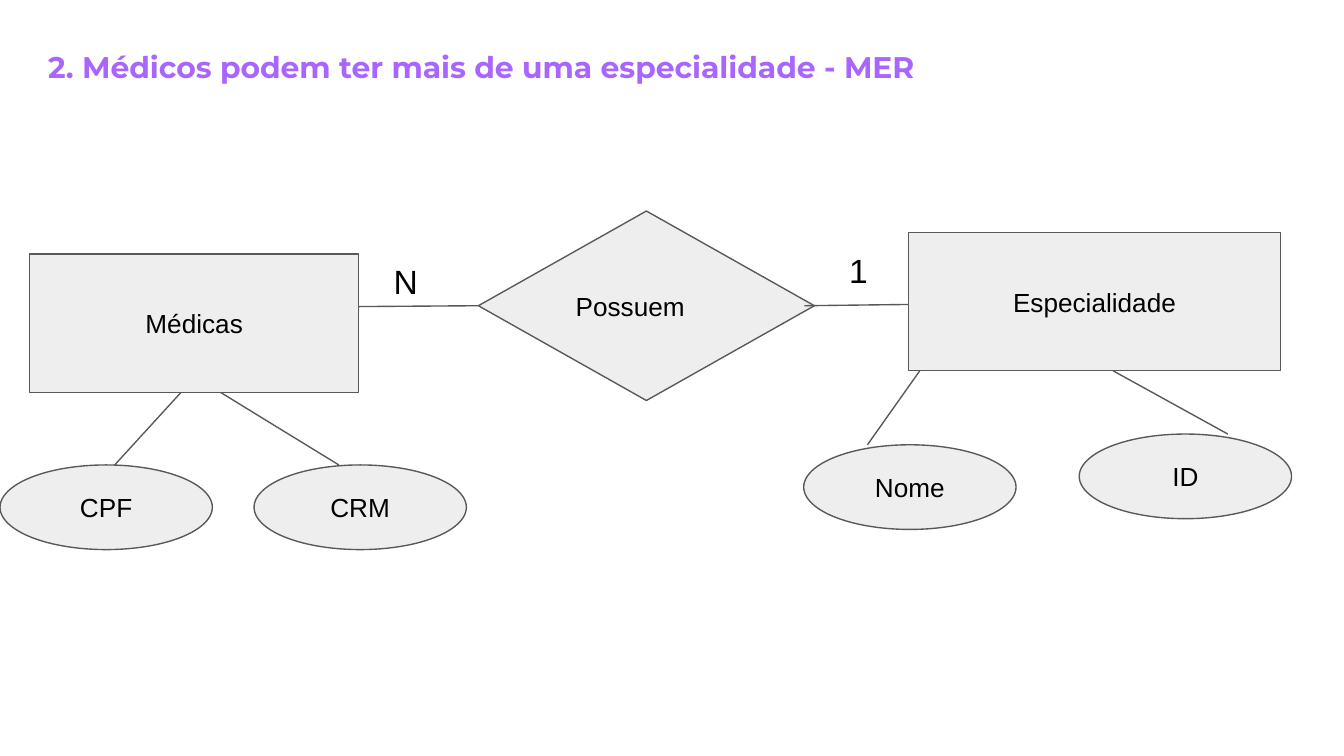
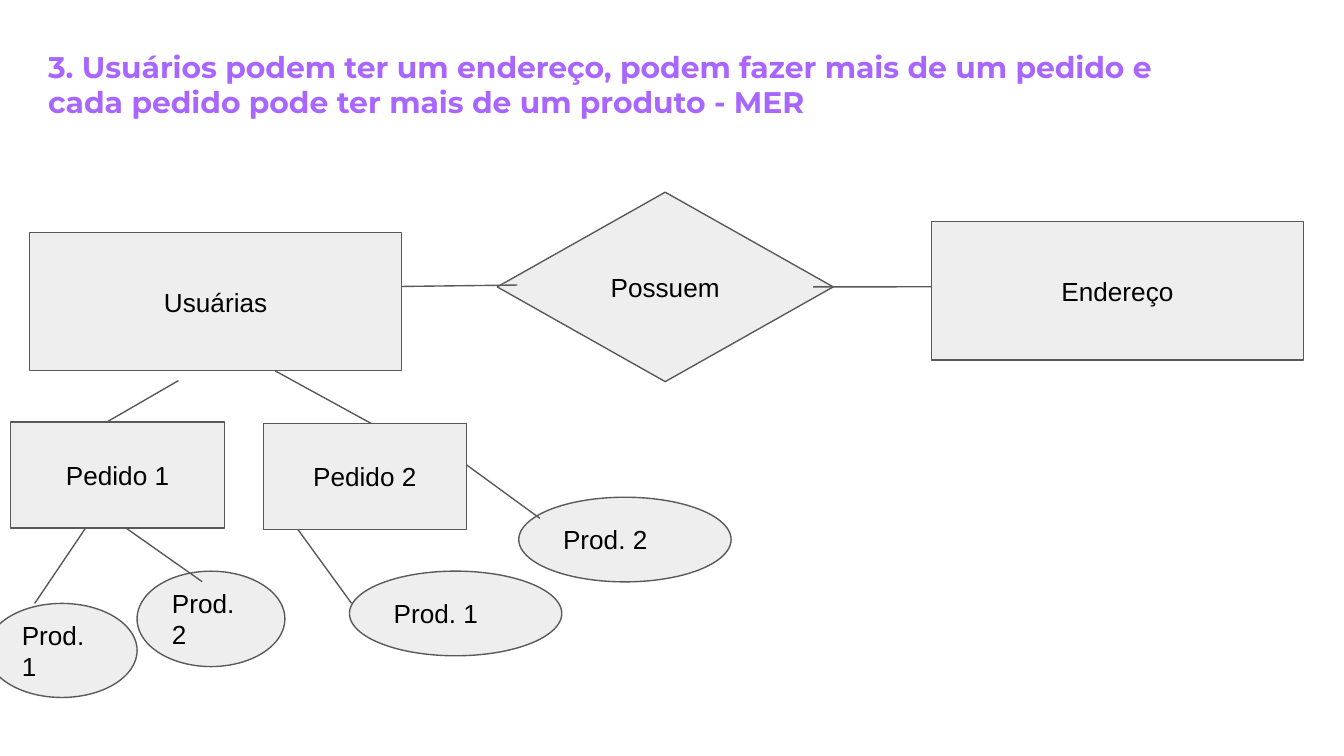
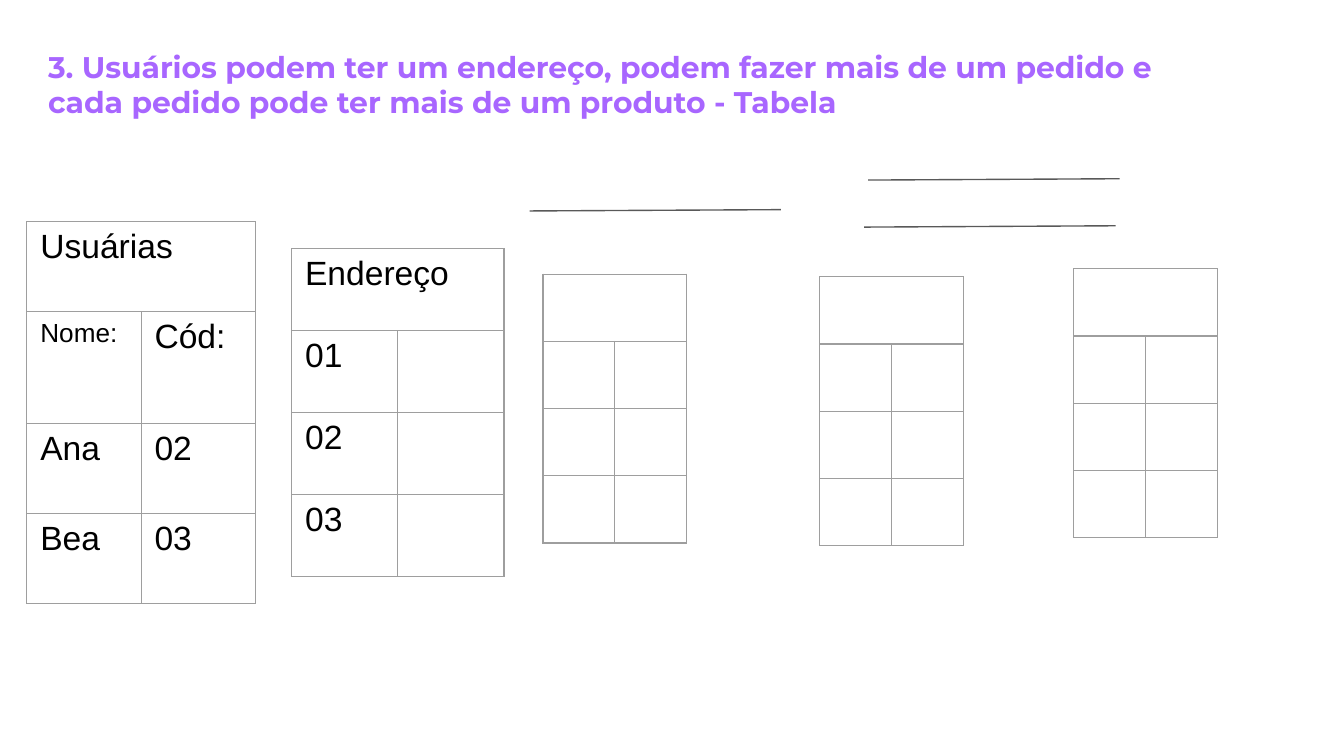
from dataclasses import dataclass

from lxml.etree import SubElement
from pptx import Presentation
from pptx.dml.color import RGBColor
from pptx.enum.shapes import MSO_CONNECTOR as Connector, MSO_SHAPE as Shape
from pptx.enum.text import MSO_ANCHOR as Anchor, MSO_AUTO_SIZE as AutoSize, PP_ALIGN as Align
from pptx.oxml.ns import qn
from pptx.util import Inches, Pt


@dataclass(frozen=True)
class Theme:
    title: str = "A866FF"
    text: str = "000000"
    fill: str = "EEEEEE"
    outline: str = "595959"
    grid: str = "9E9E9E"
    title_font: str = "Montserrat"
    body_font: str = "Arial"
    title_size: int = 16
    node_size: int = 14
    large_size: int = 18
    line_width: float = 0.75


THEME = Theme()
COLUMNS = 100
SLIDE_WIDTH = Inches(10)
SLIDE_HEIGHT = SLIDE_WIDTH * 9 // 16
UNIT = SLIDE_WIDTH // COLUMNS


def grid(*lengths):
    return [round(length * UNIT) for length in lengths]


@dataclass(frozen=True)
class Box:
    left: float
    top: float
    width: float
    height: float

    def inside(self, left, top, width, height):
        return Box(self.left + left, self.top + top, width, height)

    def point(self, across, down):
        return self.left + across * self.width, self.top + down * self.height

    def emu(self):
        return grid(self.left, self.top, self.width, self.height)


@dataclass(frozen=True)
class Node:
    text: str
    place: tuple
    outline: Shape = Shape.RECTANGLE
    align: Align = Align.CENTER
    leaves: tuple = (0.5, 1)
    enters: tuple = (0.5, 0)
    children: tuple = ()


PAGE = Box(0, 0, COLUMNS, SLIDE_HEIGHT / UNIT)
OVAL = (15.8, 6.3)
ENTITY = (27.7, 10.3)
DIAMOND = (25, 14.1)


def set_font(paragraph, size, color=THEME.text, name=THEME.body_font, bold=False):
    font = paragraph.font
    font.size, font.name, font.bold = Pt(size), name, bold
    font.color.rgb = RGBColor.from_string(color)


def set_margins(frame, across=0.1, down=0.1):
    frame.margin_left = frame.margin_right = Inches(across)
    frame.margin_top = frame.margin_bottom = Inches(down)


def set_line(line):
    line.color.rgb = RGBColor.from_string(THEME.outline)
    line.width = Pt(THEME.line_width)


def draw_title(slide, text, rows):
    frame = slide.shapes.add_textbox(*PAGE.inside(2.6, 2.6, 86.4, rows).emu()).text_frame
    frame.word_wrap = True
    frame.auto_size = AutoSize.SHAPE_TO_FIT_TEXT
    set_margins(frame)
    frame.text = text
    set_font(frame.paragraphs[0], THEME.title_size, THEME.title, THEME.title_font, True)


def draw_link(slide, start, end):
    link = slide.shapes.add_connector(Connector.STRAIGHT, *grid(*start, *end))
    set_line(link.line)
    SubElement(link._element.spPr, qn("a:effectLst"))


def draw_node(slide, node, parent):
    box = parent.inside(*node.place)
    shape = slide.shapes.add_shape(node.outline, *box.emu())
    shape.shadow.inherit = False
    shape.fill.solid()
    shape.fill.fore_color.rgb = RGBColor.from_string(THEME.fill)
    set_line(shape.line)
    frame = shape.text_frame
    frame.word_wrap = True
    frame.vertical_anchor = Anchor.MIDDLE
    set_margins(frame)
    frame.text = node.text
    frame.paragraphs[0].alignment = node.align
    set_font(frame.paragraphs[0], THEME.node_size)
    for child in node.children:
        child_box = draw_node(slide, child, box)
        draw_link(slide, box.point(*child.leaves), child_box.point(*child.enters))
    return box


def draw_cardinality(slide, text, area, place):
    frame = slide.shapes.add_textbox(*area.inside(*place).emu()).text_frame
    frame.word_wrap = False
    frame.auto_size = AutoSize.SHAPE_TO_FIT_TEXT
    set_margins(frame, down=0.05)
    frame.text = text
    set_font(frame.paragraphs[0], THEME.large_size)


def draw_model(slide, area, nodes, joints, cardinalities=()):
    boxes = [draw_node(slide, node, area) for node in nodes]
    for first, second, (leaves, enters) in zip(boxes, boxes[1:], joints):
        draw_link(slide, first.point(*leaves), second.point(*enters))
    for text, place in cardinalities:
        draw_cardinality(slide, text, area, place)


def set_borders(cell):
    properties = cell._tc.get_or_add_tcPr()
    for side in ("a:lnL", "a:lnR", "a:lnT", "a:lnB"):
        border = SubElement(properties, qn(side), w=str(Pt(THEME.line_width)))
        SubElement(SubElement(border, qn("a:solidFill")), qn("a:srgbClr"), val=THEME.grid)


def draw_record_table(slide, box, rows, heights, small=()):
    table = slide.shapes.add_table(len(rows), 2, *box.emu()).table
    table.first_row = table.horz_banding = False
    for column in table.columns:
        column.width = grid(box.width / 2)[0]
    for row, height in zip(table.rows, heights):
        row.height = grid(height)[0]
    for row, texts in enumerate(rows):
        for column, text in enumerate(texts):
            cell = table.cell(row, column)
            set_borders(cell)
            cell.fill.background()
            set_margins(cell, down=0.05)
            if text:
                cell.text = text
                size = THEME.node_size if text in small else THEME.large_size
                set_font(cell.text_frame.paragraphs[0], size)
    table.cell(0, 0).merge(table.cell(0, 1))


def attribute(text, left, top, leaves, enters, size=OVAL, align=Align.CENTER):
    return Node(text, (left, top, *size), Shape.OVAL, align, leaves, enters)


def product(text, left, top, leaves, enters, size=OVAL):
    return attribute(text, left, top, leaves, enters, size, Align.LEFT)


def relation(left, top, align):
    return Node("Possuem", (left, top, *DIAMOND), Shape.DIAMOND, align)


def build_doctors_model(slide):
    draw_title(slide, "2. Médicos podem ter mais de uma especialidade - MER", 4.7)
    doctors = Node("Médicas", (2.2, 18.9, 24.5, 10.3), children=(
        attribute("CPF", -2.2, 15.7, (0.46, 1), (0.54, 0)),
        attribute("CRM", 16.7, 15.7, (0.58, 1), (0.4, 0)),
    ))
    specialty = Node("Especialidade", (67.6, 17.3, *ENTITY), children=(
        attribute("Nome", -7.8, 15.8, (0.03, 1), (0.3, 0)),
        attribute("ID", 12.7, 15, (0.55, 1), (0.7, 0)),
    ))
    draw_model(
        slide, PAGE, (doctors, relation(35.6, 15.7, Align.LEFT), specialty),
        (((1, 0.38), (0, 0.5)), ((0.97, 0.5), (0, 0.52))),
        (("N", (28.3, 18.9, 3.8, 3.8)), ("1", (62.2, 18.1, 3.4, 3.8))),
    )


ORDERS_TITLE = ("3. Usuários podem ter um endereço, podem fazer mais de um pedido e "
                "cada pedido pode ter mais de um produto - ")


def build_orders_model(slide):
    draw_title(slide, ORDERS_TITLE + "MER", 7.3)
    first_order = Node(
        "Pedido 1", (-1.4, 14.1, 15.9, 7.9), leaves=(0.4, 1.07), enters=(0.45, 0), children=(
            product("Prod. 1", -1.8, 13.5, (0.35, 1), (0.32, 0), (11.2, 7)),
            product("Prod. 2", 9.4, 11.1, (0.54, 1), (0.44, 0.11), (11, 7.1)),
        ))
    second_order = Node(
        "Pedido 2", (17.4, 14.2, 15.1, 7.9), leaves=(0.66, 1), enters=(0.53, 0), children=(
            product("Prod. 1", 6.4, 11, (0.17, 1), (0.01, 0.38)),
            product("Prod. 2", 19, 5.5, (1, 0.39), (0.1, 0.25)),
        ))
    users = Node("Usuárias", (2.2, 17.3, *ENTITY), children=(first_order, second_order))
    address = Node("Endereço", (69.3, 16.5, *ENTITY))
    draw_model(
        slide, PAGE, (users, relation(37, 14.3, Align.CENTER), address),
        (((1, 0.39), (0.06, 0.49)), ((0.94, 0.5), (0, 0.47))),
    )


def build_orders_tables(slide):
    draw_title(slide, ORDERS_TITLE + "Tabela", 7.3)
    users = (("Usuárias", ""), ("Nome:", "Cód:"), ("Ana", "02"), ("Bea", "03"))
    draw_record_table(slide, PAGE.inside(2, 16.5, 17, 28.4), users,
                      (6.7, 8.3, 6.7, 6.7), small=("Nome:",))
    addresses = (("Endereço", ""), ("01", ""), ("02", ""), ("03", ""))
    draw_record_table(slide, PAGE.inside(21.7, 18.5, 15.8, 24.4), addresses, (6.1,) * 4)
    for left, top in ((40.4, 20.4), (61, 20.6), (79.9, 20)):
        draw_record_table(slide, PAGE.inside(left, top, 10.7, 20), (("", ""),) * 4, (5,) * 4)
    for left, top in ((64.3, 16.9), (64.6, 13.4), (39.4, 15.7)):
        rule = PAGE.inside(left, top, 18.7, -0.1)
        draw_link(slide, rule.point(0, 0), rule.point(1, 1))


def main():
    deck = Presentation()
    deck.slide_width, deck.slide_height = SLIDE_WIDTH, SLIDE_HEIGHT
    for build in (build_doctors_model, build_orders_model, build_orders_tables):
        build(deck.slides.add_slide(deck.slide_layouts[6]))
    deck.save("out.pptx")


if __name__ == "__main__":
    main()
